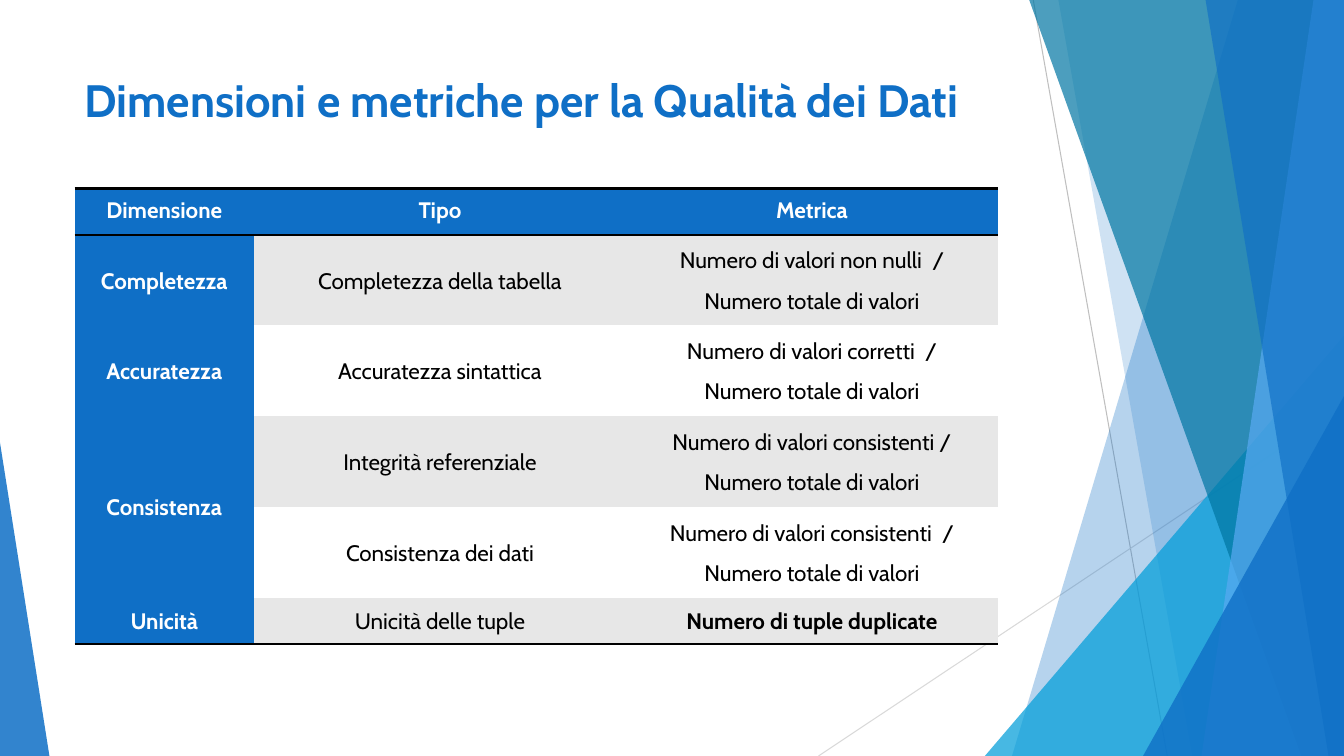
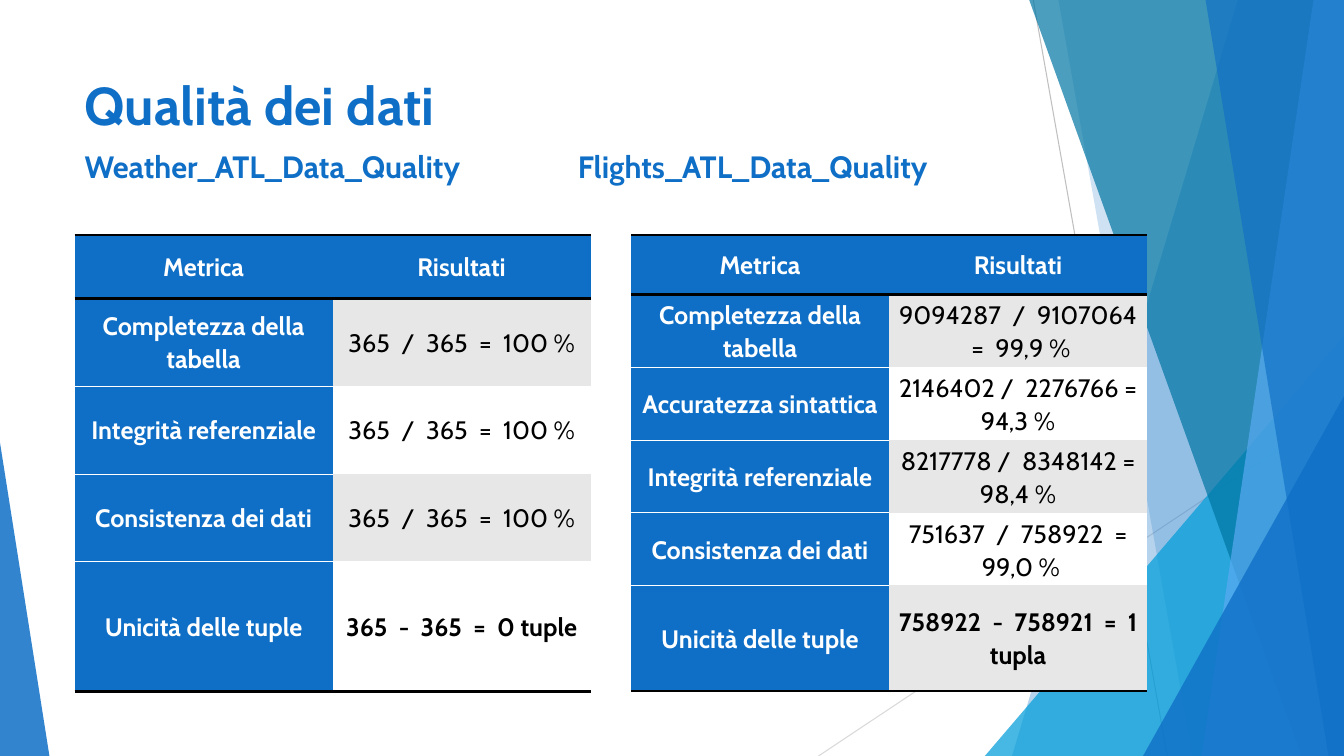
from dataclasses import dataclass

from lxml.etree import SubElement
from pptx import Presentation
from pptx.dml.color import RGBColor
from pptx.enum.shapes import MSO_CONNECTOR as Connector, MSO_SHAPE as Preset
from pptx.enum.text import MSO_ANCHOR as Anchor, PP_ALIGN as Align
from pptx.oxml import parse_xml
from pptx.oxml.ns import nsdecls, qn
from pptx.util import Inches, Pt

WIDTH, HEIGHT = Inches(13.33), Inches(7.5)
GAP = " \u00a0"


@dataclass(frozen=True)
class Theme:
    """Colours, font and type sizes of the deck."""
    blue: str = "0F6FC6"
    cyan: str = "009DD9"
    teal: str = "0076A3"
    sky: str = "59AAF2"
    stripe: str = "E7E7E7"
    white: str = "FFFFFF"
    black: str = "000000"
    line_dark: str = "BFBFBF"
    line_light: str = "D9D9D9"
    font: str = "Cabin"
    long_title: float = 32.4
    title: float = 38
    subtitle: float = 22
    table: float = 18
    small_table: float = 16


THEME = Theme()
MARGIN = 5.55

# start x, start y, end x, end y in percent of the slide
HAIRLINES = (
    (76.88, 0, 86.85, 100, THEME.line_dark),
    (100, 53.73, 60.9, 100, THEME.line_light),
)
# Bands reach the right edge: top x, bottom x, colour, opacity
BACK_BANDS = ((92.1, 75.3, THEME.blue, 30), (78.75, 88.73, THEME.blue, 20))
FRONT_BANDS = (
    (76.58, 96.83, THEME.teal, 70),
    (97.73, 89.4, THEME.sky, 70),
    (89.7, 98.85, THEME.blue, 65),
)


def across(percent):
    """Turn a percentage of the slide width into a length."""
    return round(WIDTH * percent / 100)


def down(percent):
    """Turn a percentage of the slide height into a length."""
    return round(HEIGHT * percent / 100)


def paint(shape, color, opacity):
    """Give a shape a translucent fill without line or shadow."""
    shape.shadow.inherit = False
    shape.line.fill.background()
    shape.fill.solid()
    shape.fill.fore_color.rgb = RGBColor.from_string(color)
    tint = shape.fill._xPr.find(qn("a:solidFill"))[0]
    SubElement(tint, qn("a:alpha")).set("val", str(opacity * 1000))


def add_hairline(page, x1, y1, x2, y2, color):
    """Draw a thin straight line."""
    line = page.shapes.add_connector(
        Connector.STRAIGHT, across(x1), down(y1), across(x2), down(y2))
    line.line.width = Pt(0.75)
    line.line.color.rgb = RGBColor.from_string(color)
    SubElement(line._element.spPr, qn("a:effectLst"))


def add_band(page, top, bottom, color, opacity):
    """Draw a slanted band from the top to the bottom of the page."""
    outline = page.shapes.build_freeform(across(top), 0)
    outline.add_line_segments(
        [(WIDTH, 0), (WIDTH, HEIGHT), (across(bottom), HEIGHT)], close=True)
    paint(outline.convert_to_shape(), color, opacity)


def add_corner(page, left, top, width, apex, color, opacity):
    """Draw a right-angled triangle that stands on the bottom edge."""
    corner = page.shapes.add_shape(
        Preset.ISOSCELES_TRIANGLE, across(left), down(top),
        across(width), down(100 - top))
    corner.adjustments[0] = apex
    paint(corner, color, opacity)


def add_backdrop(page):
    """Draw the facets that all pages share."""
    for hairline in HAIRLINES:
        add_hairline(page, *hairline)
    for band in BACK_BANDS:
        add_band(page, *band)
    add_corner(page, 73.28, 44.4, 26.72, 1, THEME.cyan, 72)
    for band in FRONT_BANDS:
        add_band(page, *band)
    add_corner(page, 85.05, 52.4, 14.95, 1, THEME.blue, 80)
    add_corner(page, 0, 58.53, 3.68, 0, THEME.blue, 85)


def write(frame, text, *, size, color=THEME.blue, bold=True,
          align=Align.LEFT, spacing=1.0, after=0):
    """Fill a text frame, one paragraph for each line of the text."""
    for index, line in enumerate(text.split("\n")):
        para = frame.add_paragraph() if index else frame.paragraphs[0]
        para.alignment = align
        para.line_spacing = spacing
        para.space_after = Pt(after)
        span = para.add_run()
        span.text = line
        span.font.name = THEME.font
        span.font.size = Pt(size)
        span.font.bold = bold
        span.font.color.rgb = RGBColor.from_string(color)


def add_heading(page, text, left, top, width, height, size):
    """Add a bold blue heading."""
    box = page.shapes.add_textbox(
        across(left), down(top), across(width), down(height))
    box.text_frame.word_wrap = True
    write(box.text_frame, text, size=size)


def set_borders(cell, top, bottom):
    """Set the horizontal borders as (colour, points) and clear the sides."""
    borders = {"L": None, "R": None, "T": top, "B": bottom}
    for index, (side, border) in enumerate(borders.items()):
        color, points = border or (None, 0)
        fill = (f'<a:solidFill><a:srgbClr val="{color}"/></a:solidFill>'
                if border else "<a:noFill/>")
        line = parse_xml(
            f'<a:ln{side} {nsdecls("a")} w="{Pt(points)}">{fill}</a:ln{side}>')
        cell._tc.get_or_add_tcPr().insert(index, line)


def edge_border(edge, last, ruled):
    """Pick the border for a horizontal edge of the table."""
    if edge in (0, 1, last):
        return THEME.black, 2
    return (THEME.white, 0.25) if ruled else None


def add_data_table(page, rows, left, top, columns, heights, *, size,
                   inset=0.07, ruled=False, header_anchor=Anchor.MIDDLE):
    """Add a striped table; a None cell joins the cell above it."""
    last = len(rows)
    table = page.shapes.add_table(
        last, len(columns), across(left), down(top),
        across(sum(columns)), down(sum(heights))).table
    table.first_row = table.horz_banding = False
    for column, width in zip(table.columns, columns):
        column.width = across(width)
    for r, (texts, height) in enumerate(zip(rows, heights)):
        table.rows[r].height = down(height)
        for c, text in enumerate(texts):
            cell = table.cell(r, c)
            label = r == 0 or c == 0
            fill = THEME.blue if label else (
                THEME.stripe if r % 2 else THEME.white)
            cell.fill.solid()
            cell.fill.fore_color.rgb = RGBColor.from_string(fill)
            rule = ruled and c == 0
            set_borders(cell, edge_border(r, last, rule),
                        edge_border(r + 1, last, rule))
            cell.margin_left = cell.margin_right = Inches(inset)
            cell.margin_top = cell.margin_bottom = Inches(inset)
            cell.vertical_anchor = Anchor.MIDDLE if r else header_anchor
            if text is None:
                table.cell(r - 1, c).merge(cell)
                continue
            result = r == last - 1 and c == len(columns) - 1
            write(cell.text_frame, text, size=size, bold=label or result,
                  color=THEME.white if label else THEME.black,
                  align=Align.CENTER, spacing=1.07, after=8)


def ratio(what, gap=GAP):
    """Word a metric as a count over the total count."""
    return f"Numero di valori {what}{gap}/\nNumero totale di valori"


def formula(first, sign, second, result):
    """Word a calculation with wide gaps around its signs."""
    return GAP.join((first, sign, second, "=", result))


def share(first, second, result):
    """Word a quotient with a wide gap after the slash only."""
    return f"{first} /{GAP}{second} = {result}"


def add_page(deck):
    """Add a blank page with the backdrop."""
    page = deck.slides.add_slide(deck.slide_layouts[6])
    add_backdrop(page)
    return page


def build_metrics(deck):
    """Build the page that lists dimensions and metrics."""
    page = add_page(deck)
    add_heading(page, "Dimensioni e metriche per la Qualità dei Dati",
                MARGIN, 8.93, 74.33, 11.07, THEME.long_title)
    rows = (
        ("Dimensione", "Tipo", "Metrica"),
        ("Completezza", "Completezza della tabella", ratio("non nulli")),
        ("Accuratezza", "Accuratezza sintattica", ratio("corretti")),
        ("Consistenza", "Integrità referenziale", ratio("consistenti", " ")),
        (None, "Consistenza dei dati", ratio("consistenti")),
        ("Unicità", "Unicità delle tuple", "Numero di tuple duplicate"),
    )
    add_data_table(page, rows, MARGIN, 24.93, (13.35, 27.68, 27.68),
                   (6.13, *[12] * 4, 6.13), size=THEME.small_table,
                   header_anchor=Anchor.TOP)


def build_results(deck):
    """Build the page that compares the results of two data sets."""
    page = add_page(deck)
    add_heading(page, "Qualità dei dati", MARGIN, 8.93, 70.5, 10, THEME.title)
    for name, left in (("Weather_ATL_Data_Quality", MARGIN),
                       ("Flights_ATL_Data_Quality", 42.25)):
        add_heading(page, name, left, 18.93, 36, 6.4, THEME.subtitle)
    header = ("Metrica", "Risultati")
    complete, accurate, linked, consistent, unique = (
        "Completezza della tabella", "Accuratezza sintattica",
        "Integrità referenziale", "Consistenza dei dati",
        "Unicità delle tuple")
    full = formula("365", "/", "365", "100 %")
    weather = (
        header,
        *((metric, full) for metric in (complete, linked, consistent)),
        (unique, formula("365", "-", "365", "0 tuple")),
    )
    flights = (
        header,
        (complete, formula("9094287", "/", "9107064", "99,9 %")),
        (accurate, share("2146402", "2276766", "94,3 %")),
        (linked, share("8217778", "8348142", "98,4 %")),
        (consistent, formula("751637", "/", "758922", "99,0 %")),
        (unique, formula("758922", "-", "758921", "1 tupla")),
    )
    columns = (19.2, 19.2)
    add_data_table(page, weather, MARGIN, 31.07, columns,
                   (8.4, *[11.6] * 3, 17.2), size=THEME.table, ruled=True)
    add_data_table(page, flights, 46.95, 31.07, columns,
                   (7.87, *[9.6] * 4, 14), size=THEME.table, ruled=True,
                   inset=0.04)


def main():
    """Build and save the deck."""
    deck = Presentation()
    deck.slide_width, deck.slide_height = WIDTH, HEIGHT
    build_metrics(deck)
    build_results(deck)
    deck.save("out.pptx")


main()
